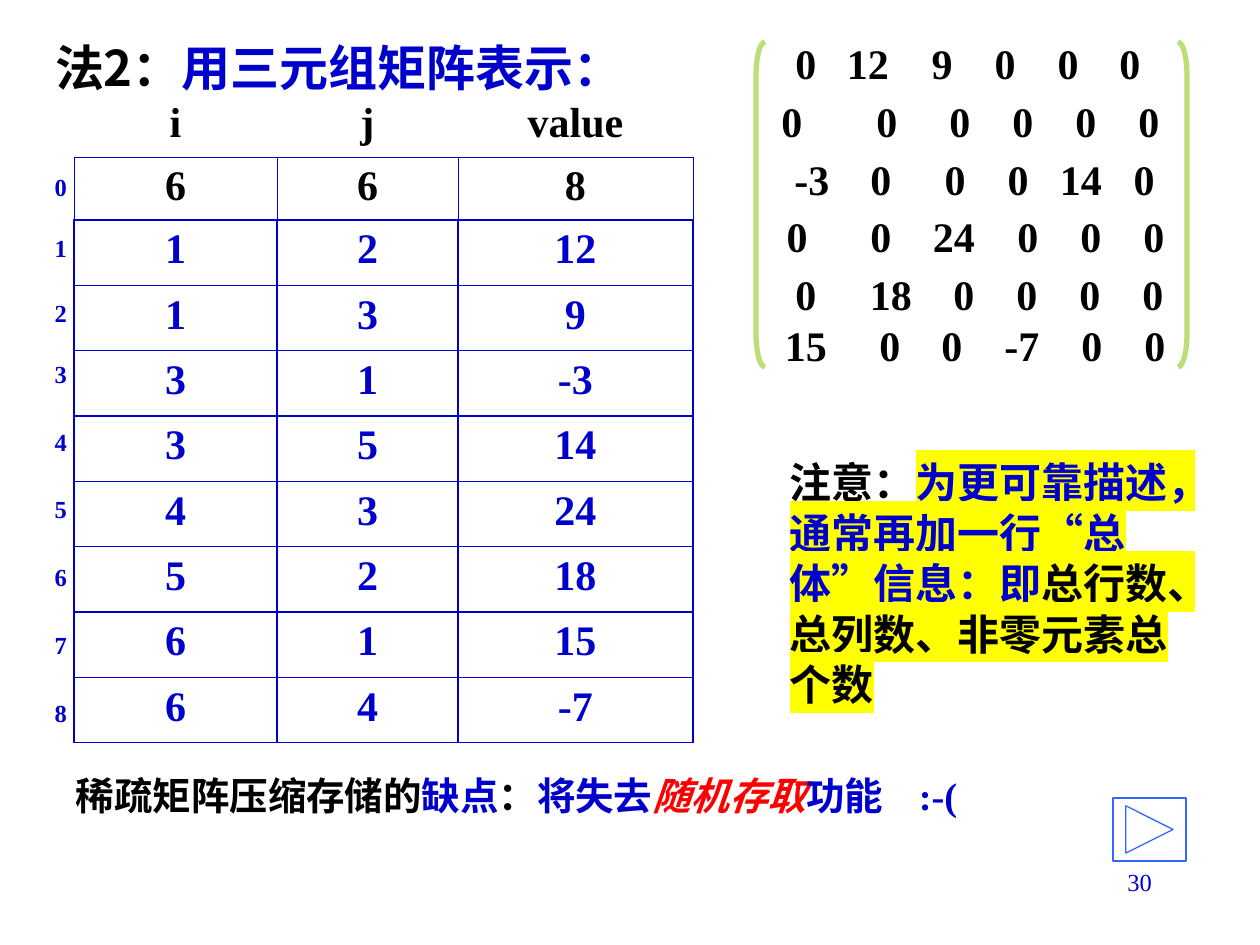
"""Build the slide on storing a sparse matrix as a table of triples."""
from lxml import etree
from pptx import Presentation
from pptx.dml.color import RGBColor
from pptx.enum.shapes import MSO_SHAPE
from pptx.enum.text import MSO_ANCHOR, MSO_AUTO_SIZE, PP_ALIGN
from pptx.oxml.ns import qn
from pptx.util import Pt

LEFT, CENTER, RIGHT = PP_ALIGN.LEFT, PP_ALIGN.CENTER, PP_ALIGN.RIGHT
TOP, MIDDLE = MSO_ANCHOR.TOP, MSO_ANCHOR.MIDDLE
PX = 914400 / 126
SERIF, SANS = "Times New Roman", "Noto Sans CJK SC"
C = {"black": "000000", "blue": "0000CC", "red": "FF0000", "yellow": "FFFF00",
     "green": "BADE78", "button": "3366FF"}

BLUE = {"color": "blue"}
MARKED = {"color": "blue", "mark": "yellow"}
TITLE = [("法2：", {}), ("用三元组矩阵表示：", BLUE)]
NOTE = [("注意：", {}),
        ("为更可靠描述，通常再加一行", MARKED),
        ("“", {**MARKED, "font": SERIF}),
        ("总体", MARKED),
        ("”", {**MARKED, "font": SERIF}),
        ("信息：即", MARKED),
        ("总行数、总列数、非零元素总个数", {"mark": "yellow"})]
DRAWBACK = [("稀疏矩阵压缩存储的", {}), ("缺点", BLUE), ("：", {}), ("将失去", BLUE),
            ("随机存取", {"color": "red", "italic": True}), ("功能\t:-(", BLUE)]

HEADER = [["i", "j", "value"]]
TOTALS = [[6, 6, 8]]
TRIPLES = [[1, 2, 12], [1, 3, 9], [3, 1, -3], [3, 5, 14],
           [4, 3, 24], [5, 2, 18], [6, 1, 15], [6, 4, -7]]
INDEXES = [[i] for i in range(9)]
TRIPLE_COLS = [203, 181, 235]
INDEX_ROWS = [61, 65, 61, 68, 68, 68, 68, 68, 61]

MATRIX_LEFT = 756
MATRIX = [
    (43, [0, 12, 9, 0, 0, 0], [50, 112, 186, 249, 312, 374]),
    (101, [0, 0, 0, 0, 0, 0], [36, 131, 204, 267, 330, 393]),
    (159, [-3, 0, 0, 0, 14, 0], [56, 125, 199, 262, 325, 388]),
    (216, [0, 0, 24, 0, 0, 0], [41, 125, 198, 272, 335, 398]),
    (274, [0, 18, 0, 0, 0, 0], [50, 135, 208, 271, 334, 397]),
    (325, [15, 0, 0, -7, 0, 0], [50, 134, 196, 266, 336, 399]),
]


def px(n):
    return round(n * PX)


def rgb(name):
    return RGBColor.from_string(C[name])


def add_text(p, text, size=24, font=SERIF, color="black", bold=True, italic=False, mark=None):
    r = p.add_run()
    r.text = str(text)
    r.font.size, r.font.bold, r.font.italic = Pt(size), bold, italic
    r.font.color.rgb = rgb(color)
    rpr = r.font._element
    if mark:
        highlight = etree.SubElement(rpr, qn("a:highlight"))
        etree.SubElement(highlight, qn("a:srgbClr"), val=C[mark])
    r.font.name = font
    etree.SubElement(rpr, qn("a:ea"), typeface=SANS)


def fill_box(sp, box, runs, align=LEFT, anchor=TOP, inset=(13, 6), tabs=(), **fmt):
    sp.left, sp.top, sp.width, sp.height = map(px, box)
    tf = sp.text_frame
    tf.word_wrap, tf.auto_size, tf.vertical_anchor = True, MSO_AUTO_SIZE.NONE, anchor
    tf.margin_left = tf.margin_right = px(inset[0])
    tf.margin_top = tf.margin_bottom = px(inset[1])
    p = tf.paragraphs[0]
    p.alignment = align
    p.line_spacing = 1.0
    if tabs:
        tab_list = etree.SubElement(p._p.get_or_add_pPr(), qn("a:tabLst"))
        for pos, kind in tabs:
            etree.SubElement(tab_list, qn("a:tab"), pos=str(px(pos)), algn=kind)
    for text, own in runs:
        add_text(p, text, **{**fmt, **own})


def add_box(s, *args, **kwargs):
    fill_box(s.shapes.add_textbox(0, 0, 0, 0), *args, **kwargs)


def set_borders(cell, width):
    tcpr = cell._tc.get_or_add_tcPr()
    for side in "LRTB":
        ln = etree.SubElement(tcpr, qn(f"a:ln{side}"), w=str(Pt(width)))
        if width:
            fill = etree.SubElement(ln, qn("a:solidFill"))
            etree.SubElement(fill, qn("a:srgbClr"), val=C["blue"])
        else:
            etree.SubElement(ln, qn("a:noFill"))


def add_grid(s, left, top, cols, heights, rows, border=0, align=CENTER, **fmt):
    frame = s.shapes.add_table(len(rows), len(cols), px(left), px(top),
                               px(sum(cols)), px(sum(heights)))
    table = frame.table
    table.first_row = table.horz_banding = False
    for col, width in zip(table.columns, cols):
        col.width = px(width)
    for row, height, values in zip(table.rows, heights, rows):
        row.height = px(height)
        for cell, value in zip(row.cells, values):
            set_borders(cell, border)
            cell.fill.background()
            p = cell.text_frame.paragraphs[0]
            p.alignment = align
            add_text(p, value, **fmt)


def add_outline(s, kind, box, color, width):
    sp = s.shapes.add_shape(kind, *map(px, box))
    sp.shadow.inherit = False
    sp.fill.background()
    sp.line.color.rgb = rgb(color)
    sp.line.width = Pt(width)
    return sp


def main():
    prs = Presentation()
    prs.slide_width, prs.slide_height = px(1260), px(945)
    s = prs.slides.add_slide(prs.slide_layouts[5])

    fill_box(s.shapes.title, (42, 31, 557, 72), TITLE, size=28, font=SANS)

    for kind, left in ((MSO_SHAPE.LEFT_BRACKET, 756), (MSO_SHAPE.RIGHT_BRACKET, 1178)):
        add_outline(s, kind, (left, 42, 9, 325), "green", 3).adjustments[0] = 3.75
    for top, values, centers in MATRIX:
        row = "".join(f"\t{v}" for v in values)
        add_box(s, (MATRIX_LEFT, top, 430, 40), [(row, {})], anchor=MIDDLE, inset=(0, 0),
                tabs=[(x, "ctr") for x in centers])

    add_grid(s, 74, 220, TRIPLE_COLS, [523 / len(TRIPLES)] * len(TRIPLES), TRIPLES,
             border=1, color="blue")
    add_grid(s, 74, 157, TRIPLE_COLS, [63], TOTALS, border=0.25)
    add_grid(s, 74, 94, TRIPLE_COLS, [63], HEADER)
    add_grid(s, 42, 168, [42], INDEX_ROWS, INDEXES, align=LEFT, size=14, color="blue")

    add_box(s, (777, 451, 431, 265), NOTE, font=SANS)
    add_box(s, (63, 766, 955, 59), DRAWBACK, tabs=[(843, "l")], size=22)
    add_outline(s, MSO_SHAPE.ACTION_BUTTON_FORWARD_OR_NEXT, (1113, 798, 73, 63), "button", 0.75)
    add_box(s, (903, 861, 262, 63), [("30", {})], align=RIGHT, size=14, color="blue", bold=False)

    prs.save("out.pptx")


if __name__ == "__main__":
    main()
